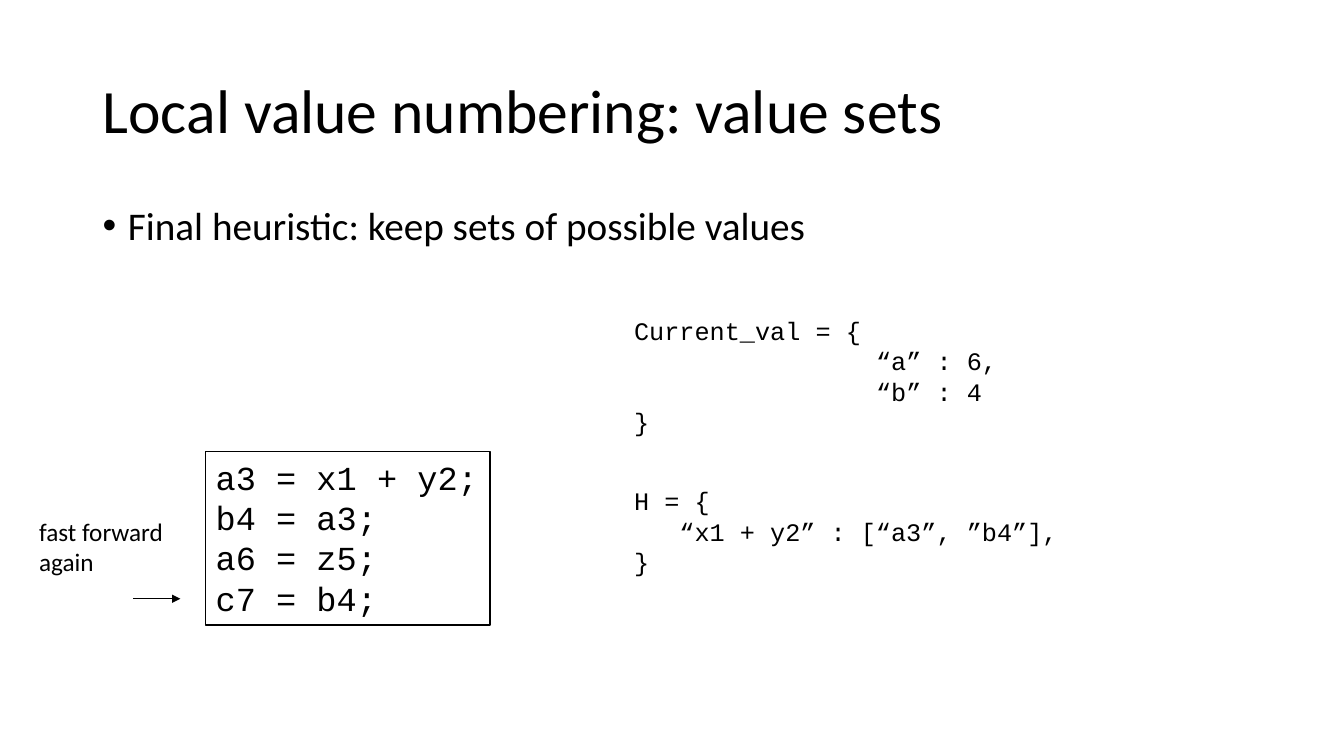
from dataclasses import dataclass

from lxml import etree
from pptx import Presentation
from pptx.dml.color import RGBColor
from pptx.enum.shapes import MSO_CONNECTOR, MSO_SHAPE
from pptx.enum.text import MSO_ANCHOR, MSO_AUTO_SIZE, PP_ALIGN
from pptx.oxml.ns import qn
from pptx.util import Inches, Pt

BLACK = RGBColor(0x00, 0x00, 0x00)
WHITE = RGBColor(0xFF, 0xFF, 0xFF)
BODY_FONT = "Calibri"
CODE_FONT = "Courier New"
CODE_CHARACTER = 0.15  # inches per character of 18 point code
STRAIGHT = MSO_CONNECTOR.STRAIGHT
RECTANGLE = MSO_SHAPE.RECTANGLE
TOP = MSO_ANCHOR.TOP
MIDDLE = MSO_ANCHOR.MIDDLE
LEFT = PP_ALIGN.LEFT
GROW = MSO_AUTO_SIZE.SHAPE_TO_FIT_TEXT
FIXED = MSO_AUTO_SIZE.NONE


@dataclass(frozen=True)
class Line:
    """One line of text and its indent in characters of code."""
    text: str
    indent: int = 0


@dataclass(frozen=True)
class TextBlock:
    """Text with its place in inches and its format."""
    place: tuple[float, float, float, float]
    lines: tuple[Line, ...]
    size: int
    font: str
    wrap: bool = False
    grow: bool = True
    anchor: MSO_ANCHOR = TOP
    line_spacing: float = 1.0
    space_before: int = 0
    bullet: bool = False
    framed: bool = False


TITLE = TextBlock((0.92, 0.4, 11.5, 1.45),
                  (Line("Local value numbering: value sets"),), 44, BODY_FONT,
                  wrap=True, grow=False, anchor=MIDDLE, line_spacing=0.9)
HEURISTIC = TextBlock((0.92, 2, 11.5, 0.82),
                      (Line("Final heuristic: keep sets of possible values"),),
                      28, BODY_FONT, wrap=True, grow=False, line_spacing=0.9,
                      space_before=10, bullet=True)
PROGRAM = TextBlock((2.04, 4.48, 2.82, 1.72),
                    (Line("a3 = x1 + y2;"), Line("b4 = a3;"),
                     Line("a6 = z5;"), Line("c7 = b4;")),
                    24, CODE_FONT, framed=True)
HASH_TABLE = TextBlock((6.19, 4.77, 4.97, 1.01),
                       (Line("H = {"), Line("“x1 + y2” : [“a3”, ”b4”],", 3),
                        Line("}")),
                       18, CODE_FONT, wrap=True)
CURRENT_VALUES = TextBlock((6.19, 3.08, 3.82, 1.31),
                           (Line("Current_val = {"), Line("“a” : 6,", 16),
                            Line("“b” : 4", 16), Line("}")),
                           18, CODE_FONT)
STEP_NOTE = TextBlock((0.29, 5.07, 1.5, 0.71),
                      (Line("fast forward"), Line("again")), 18, BODY_FONT)
BLOCKS = (TITLE, HEURISTIC, PROGRAM, HASH_TABLE, CURRENT_VALUES, STEP_NOTE)


def set_attributes(target, values: dict) -> None:
    """Set each named attribute of the target."""
    for name, value in values.items():
        setattr(target, name, value)


def add_bullet(paragraph) -> None:
    """Give the paragraph a round bullet with a hanging indent."""
    properties = paragraph._p.get_or_add_pPr()
    properties.set("marL", str(Inches(0.25)))
    properties.set("indent", str(Inches(-0.25)))
    etree.SubElement(properties, qn("a:buFont")).set("typeface", "Arial")
    etree.SubElement(properties, qn("a:buChar")).set("char", "•")


def add_block(slide, block: TextBlock) -> None:
    """Draw a text block, in a frame if it has one."""
    place = [Inches(length) for length in block.place]
    if block.framed:
        shape = slide.shapes.add_shape(RECTANGLE, *place)
        shape.shadow.inherit = False
        shape.fill.solid()
        shape.fill.fore_color.rgb = WHITE
        shape.line.color.rgb = BLACK
        shape.line.width = Pt(1)
    else:
        shape = slide.shapes.add_textbox(*place)
    frame = shape.text_frame
    set_attributes(frame, {
        "word_wrap": block.wrap,
        "auto_size": GROW if block.grow else FIXED,
        "vertical_anchor": block.anchor,
    })
    for index, line in enumerate(block.lines):
        paragraph = frame.add_paragraph() if index else frame.paragraphs[0]
        set_attributes(paragraph, {
            "alignment": LEFT,
            "line_spacing": block.line_spacing,
            "space_before": Pt(block.space_before),
        })
        if line.indent:
            margin = Inches(line.indent * CODE_CHARACTER)
            paragraph._p.get_or_add_pPr().set("marL", str(margin))
        if block.bullet:
            add_bullet(paragraph)
        run = paragraph.add_run()
        run.text = line.text
        set_attributes(run.font, {"name": block.font, "size": Pt(block.size)})
        run.font.color.rgb = BLACK


def add_step_arrow(slide, left: float, right: float, height: float) -> None:
    """Draw the arrow that points at the current program line."""
    arrow = slide.shapes.add_connector(STRAIGHT, Inches(left), Inches(height),
                                       Inches(right), Inches(height))
    arrow.line.color.rgb = BLACK
    arrow.line.width = Pt(0.5)
    outline = arrow.line._get_or_add_ln()
    etree.SubElement(outline, qn("a:tailEnd")).set("type", "triangle")
    etree.SubElement(arrow._element.spPr, qn("a:effectLst"))


def main() -> None:
    """Build the slide and save it."""
    presentation = Presentation()
    presentation.slide_width = Inches(13.33)
    presentation.slide_height = Inches(7.5)
    slide = presentation.slides.add_slide(presentation.slide_layouts[6])
    for block in BLOCKS:
        add_block(slide, block)
    add_step_arrow(slide, 1.32, 1.79, 5.94)
    presentation.save("out.pptx")


main()
